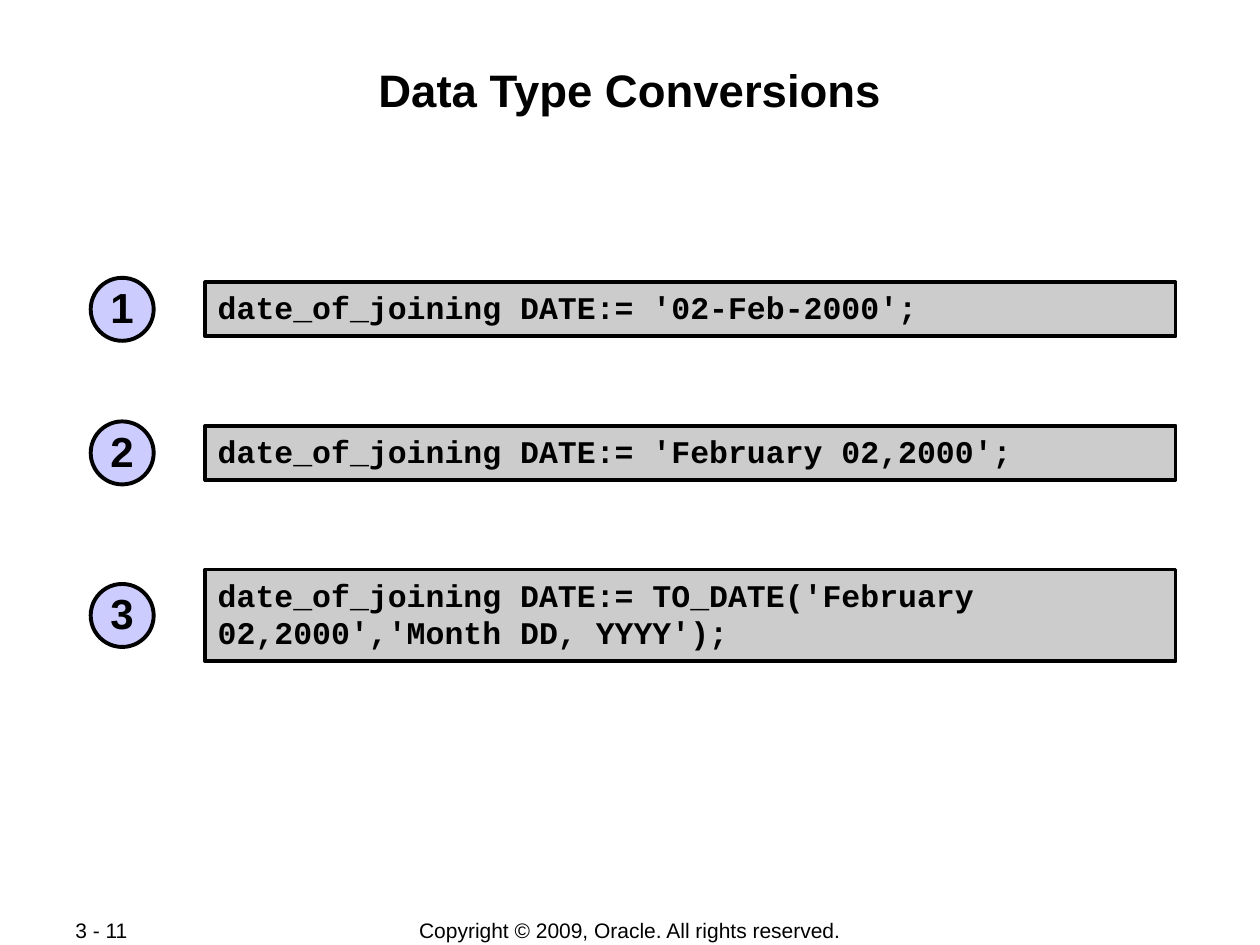
from pptx import Presentation
from pptx.dml.color import RGBColor
from pptx.enum.shapes import MSO_SHAPE
from pptx.enum.text import MSO_ANCHOR, PP_ALIGN
from pptx.util import Inches, Pt

TITLE = "Data Type Conversions"
PAGE_NUMBER = "3 - 11"
COPYRIGHT = "Copyright © 2009, Oracle. All rights reserved."
STATEMENTS = [  # code, lines it takes up
    ("date_of_joining DATE:= '02-Feb-2000';", 1),
    ("date_of_joining DATE:= 'February 02,2000';", 1),
    ("date_of_joining DATE:= TO_DATE('February 02,2000','Month DD, YYYY');", 2),
]

BLACK = RGBColor(0x00, 0x00, 0x00)
CODE_GREY = RGBColor(0xCC, 0xCC, 0xCC)
BADGE_LILAC = RGBColor(0xCC, 0xCC, 0xFF)

SLIDE_W, SLIDE_H = 10, 7.5
MARGIN = 0.67
CODE_LEFT, CODE_TOP, ROW_PITCH = 1.63, 2.24, 1.14
CODE_PADDING, LINE_HEIGHT = 0.13, 0.3
BADGE_LEFT, BADGE_SIZE = 0.72, 0.5
FOOTER_TOP, FOOTER_H = 7.28, 0.21


def write(shape, text, size, font="Arial", bold=True, align=PP_ALIGN.LEFT,
          anchor=MSO_ANCHOR.TOP, insets=(0.1, 0.05), wrap=True):
    frame = shape.text_frame
    frame.text = text
    frame.word_wrap = wrap
    frame.vertical_anchor = anchor
    frame.margin_left = frame.margin_right = Inches(insets[0])
    frame.margin_top = frame.margin_bottom = Inches(insets[1])
    paragraph = frame.paragraphs[0]
    paragraph.alignment = align
    run_font = paragraph.runs[0].font
    run_font.name, run_font.size, run_font.bold = font, Pt(size), bold
    run_font.color.rgb = BLACK
    return paragraph


def add_text(slide, box, text, size, **style):
    write(slide.shapes.add_textbox(*map(Inches, box)), text, size, **style)


def add_outlined(slide, preset, box, fill):
    shape = slide.shapes.add_shape(preset, *map(Inches, box))
    shape.shadow.inherit = False
    shape.fill.solid()
    shape.fill.fore_color.rgb = fill
    shape.line.color.rgb = BLACK
    shape.line.width = Pt(2.25)
    return shape


def add_statement(slide, number, code, line_count):
    """Add a code box and the numbered badge centred on its height."""
    top = CODE_TOP + (number - 1) * ROW_PITCH
    height = CODE_PADDING + line_count * LINE_HEIGHT
    code_box = add_outlined(
        slide, MSO_SHAPE.RECTANGLE,
        (CODE_LEFT, top, SLIDE_W - MARGIN - CODE_LEFT, height), CODE_GREY)
    write(code_box, code, 18, font="Courier New")

    badge_top = top + (height - BADGE_SIZE) / 2
    badge = add_outlined(
        slide, MSO_SHAPE.OVAL,
        (BADGE_LEFT, badge_top, BADGE_SIZE, BADGE_SIZE), BADGE_LILAC)
    label = write(badge, str(number), 24, align=PP_ALIGN.CENTER,
                  anchor=MSO_ANCHOR.MIDDLE, insets=(0.05, 0.05), wrap=False)
    label.line_spacing = 0.95


def main():
    presentation = Presentation()
    presentation.slide_width = Inches(SLIDE_W)
    presentation.slide_height = Inches(SLIDE_H)
    slide = presentation.slides.add_slide(presentation.slide_layouts[6])

    add_text(slide, (MARGIN, 0.48, SLIDE_W - 2 * MARGIN, 0.96), TITLE, 26,
             align=PP_ALIGN.CENTER, insets=(0.01, 0.01))
    for number, (code, line_count) in enumerate(STATEMENTS, start=1):
        add_statement(slide, number, code, line_count)

    footer_style = dict(bold=False, anchor=MSO_ANCHOR.MIDDLE)
    add_text(slide, (0.5, FOOTER_TOP, 1.06, FOOTER_H), PAGE_NUMBER, 12,
             **footer_style)
    add_text(slide, (2.75, FOOTER_TOP, SLIDE_W - 2 * 2.75, FOOTER_H), COPYRIGHT,
             12, align=PP_ALIGN.CENTER, wrap=False, **footer_style)

    presentation.save("out.pptx")


if __name__ == "__main__":
    main()
